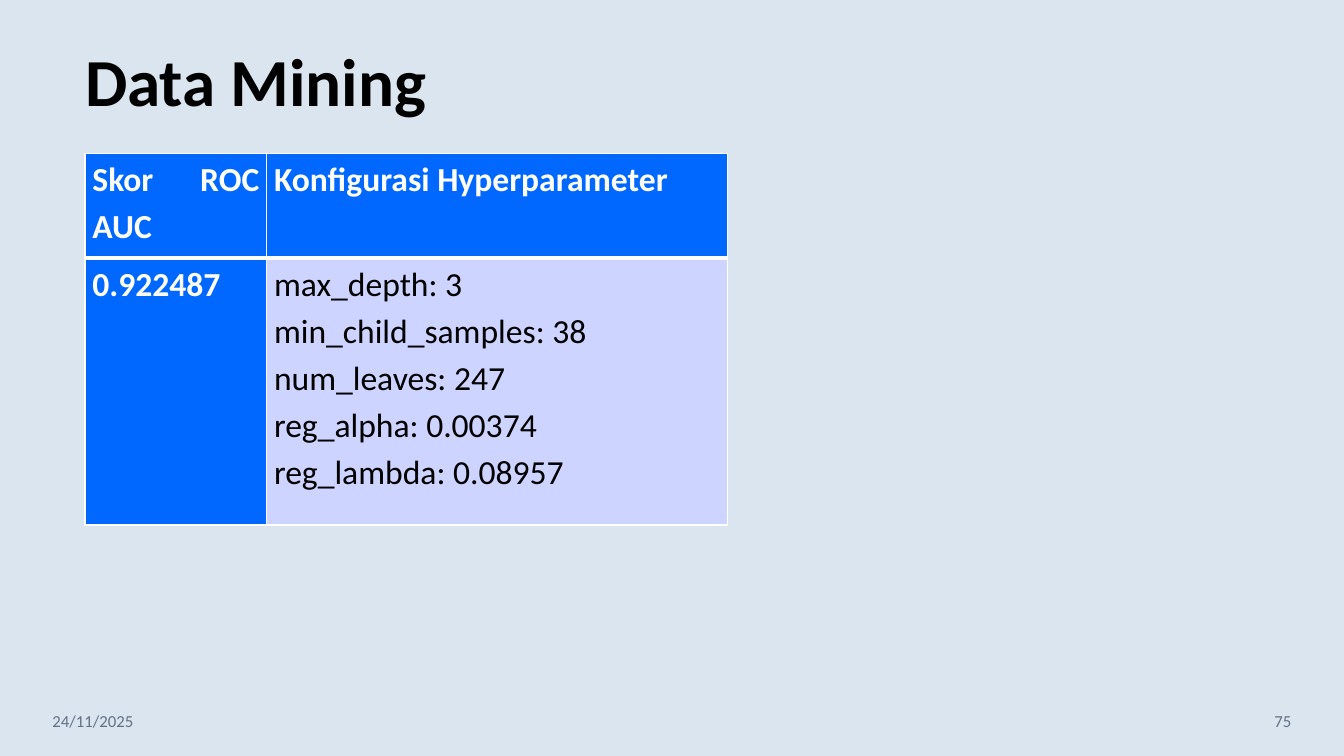
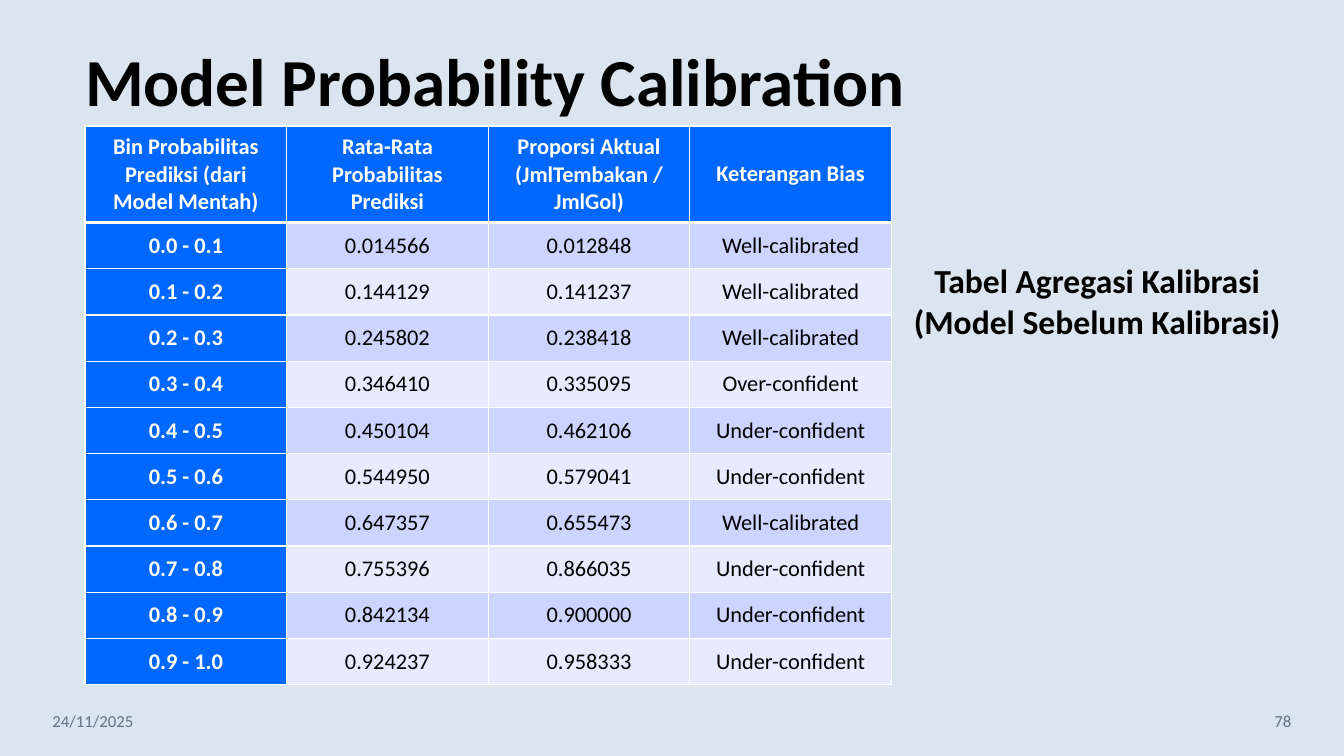
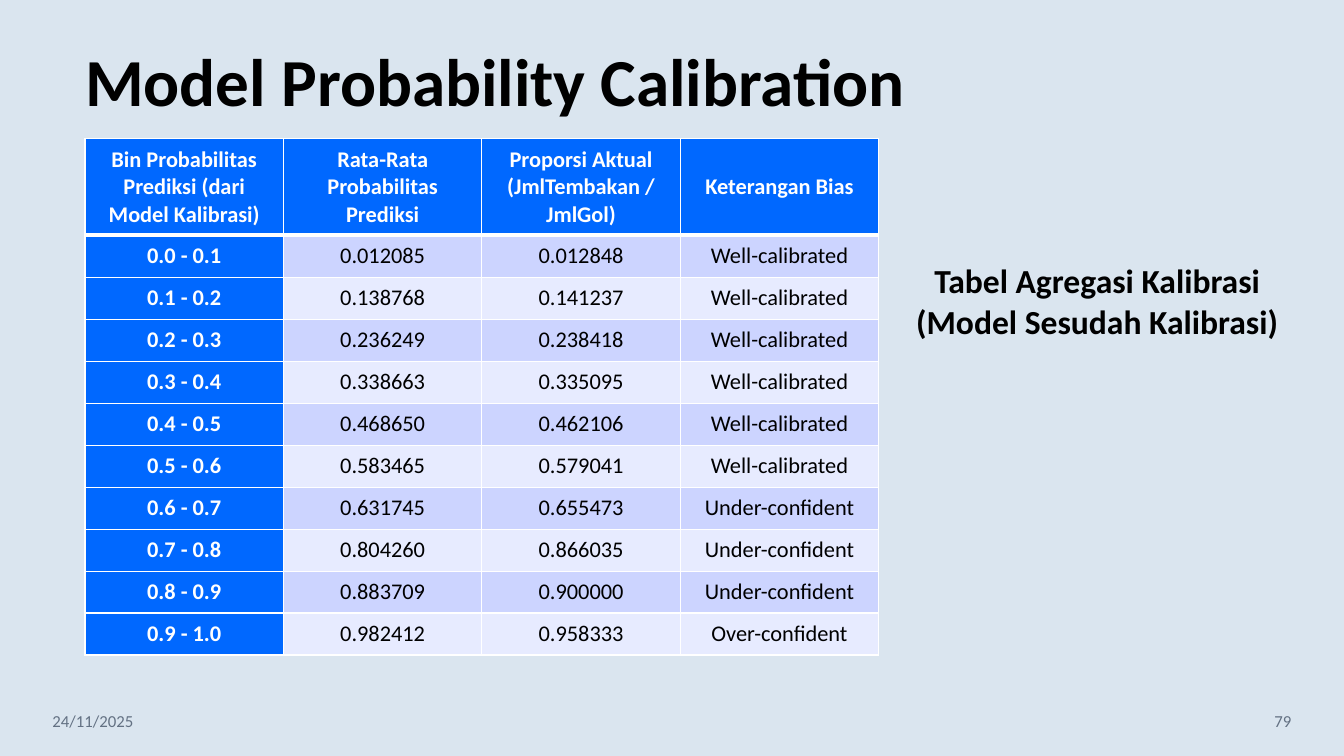
from lxml.etree import SubElement
from pptx import Presentation
from pptx.dml.color import RGBColor
from pptx.enum.text import MSO_ANCHOR, MSO_AUTO_SIZE, PP_ALIGN
from pptx.oxml.ns import qn
from pptx.util import Emu, Pt

SCALE = 9525
FONT = "Calibri"
COLORS = {
    "page": "DAE5EF",
    "head": "0068FF",
    "odd": "CCD4FF",
    "even": "E7EBFF",
    "ink": "000000",
    "white": "FFFFFF",
    "gray": "637183",
}
LEFT = 81


def px(count):
    """Turn pixels into EMU."""
    return Emu(count * SCALE)


def tint(name):
    """Return a named colour."""
    return RGBColor.from_string(COLORS[name])


def write(host, text, size=16, bold=False, color="ink", align=PP_ALIGN.LEFT,
          anchor=MSO_ANCHOR.TOP, inset=(10, 5, 10, 5), lead=None, after=None):
    """Fill a text frame or table cell with formatted lines."""
    host.margin_left, host.margin_top, host.margin_right, host.margin_bottom = map(px, inset)
    host.vertical_anchor = anchor
    frame = getattr(host, "text_frame", host)
    frame.word_wrap = True
    for i, line in enumerate(text.split("\n")):
        para = frame.add_paragraph() if i else frame.paragraphs[0]
        para.alignment = align
        if lead:
            para.line_spacing = lead
        if after:
            para.space_after = Pt(after)
        run = para.add_run()
        run.text = line
        run.font.name = FONT
        run.font.size = Pt(size)
        run.font.bold = bold
        run.font.color.rgb = tint(color)


def edge(cell, **widths):
    """Draw the white borders of a cell, widths in points."""
    props = cell._tc.get_or_add_tcPr()
    for i, side in enumerate("LRTB"):
        line = SubElement(props, qn(f"a:ln{side}"), w=str(Pt(widths.get(side, 1))))
        fill = SubElement(line, qn("a:solidFill"))
        SubElement(fill, qn("a:srgbClr"), val=COLORS["white"])
        props.insert(i, line)


class Deck:
    """Holds the shared style and the current slide."""

    def __init__(self):
        """Start a deck with the shared page colour."""
        self.show = Presentation()
        self.show.slide_width, self.show.slide_height = px(1280), px(720)
        fill = self.show.slide_master.background.fill
        fill.solid()
        fill.fore_color.rgb = tint("page")

    def page(self, title, number):
        """Add a slide with its title, date and number."""
        self.slide = self.show.slides.add_slide(self.show.slide_layouts[6])
        self.text((LEFT, 36, 1121, 84), title, size=48, bold=True, lead=0.9,
                  anchor=MSO_ANCHOR.BOTTOM, inset=(0, 5, 10, 5))
        small = {"size": 12, "color": "gray", "anchor": MSO_ANCHOR.MIDDLE}
        self.text((40, 667, 288, 38), "24/11/2025", **small)
        self.text((952, 667, 288, 38), str(number), align=PP_ALIGN.RIGHT, **small)

    def text(self, area, text, grow=False, **style):
        """Add a text box."""
        frame = self.slide.shapes.add_textbox(*map(px, area)).text_frame
        write(frame, text, **style)
        if grow:
            frame.auto_size = MSO_AUTO_SIZE.SHAPE_TO_FIT_TEXT

    def label(self, text, height):
        """Add the caption at the right of a table."""
        self.text((849, 243, 392, height), text, grow=True, size=24, bold=True,
                  align=PP_ALIGN.CENTER)

    def table(self, top, cols, tall, rows, special=None, **style):
        """Add a table with a blue first row and first column."""
        area = (LEFT, top, sum(cols), sum(tall))
        grid = self.slide.shapes.add_table(len(rows), len(cols), *map(px, area)).table
        grid.first_row = grid.horz_banding = False
        for col, width in zip(grid.columns, cols):
            col.width = px(width)
        for r, row in enumerate(rows):
            grid.rows[r].height = px(tall[r])
            for c, text in enumerate(row):
                cell = grid.cell(r, c)
                head = r == 0 or c == 0
                form = {**style, **(special or {}).get((r, c), {})}
                write(cell, text, bold=head, color="white" if head else "ink", **form)
                cell.fill.solid()
                cell.fill.fore_color.rgb = tint("head" if head else "odd" if r % 2 else "even")
                edge(cell, T=3 if r == 1 else 1, B=1 if r else 3)

    def bins(self, top, width, height, model, means, biases):
        """Add a calibration table with ten probability bins."""
        rows = [(f"Bin Probabilitas Prediksi (dari Model {model})",
                 "Rata-Rata Probabilitas Prediksi",
                 "Proporsi Aktual (JmlTembakan / JmlGol)",
                 "Keterangan Bias")]
        for i, (mean, share, bias) in enumerate(zip(means, SHARES, biases)):
            rows.append((f"{i / 10:.1f} - {(i + 1) / 10:.1f}", f"{mean:.6f}",
                         f"{share:.6f}", BIAS[bias]))
        self.table(top, [width] * 4, [92] + [height] * 10, rows,
                   special={(0, 3): {"inset": (1, 1, 1, 1), "after": 8}},
                   align=PP_ALIGN.CENTER, anchor=MSO_ANCHOR.MIDDLE, inset=(7, 7, 7, 7))


BIAS = {"W": "Well-calibrated", "O": "Over-confident", "U": "Under-confident"}
SHARES = [0.012848, 0.141237, 0.238418, 0.335095, 0.462106,
          0.579041, 0.655473, 0.866035, 0.900000, 0.958333]
BEFORE = [0.014566, 0.144129, 0.245802, 0.346410, 0.450104,
          0.544950, 0.647357, 0.755396, 0.842134, 0.924237]
AFTER = [0.012085, 0.138768, 0.236249, 0.338663, 0.468650,
         0.583465, 0.631745, 0.804260, 0.883709, 0.982412]
SETUP = """max_depth: 3
min_child_samples: 38
num_leaves: 247
reg_alpha: 0.00374
reg_lambda: 0.08957"""


def main():
    """Build and save the three slides."""
    deck = Deck()

    deck.page("Data Mining", 75)
    deck.table(146, [173, 439], [100, 254],
               [("Skor ROC AUC", "Konfigurasi Hyperparameter"), ("0.922487", SETUP)],
               size=24, align=PP_ALIGN.JUSTIFY, lead=1.15, inset=(7, 0, 7, 0))

    deck.page("Model Probability Calibration", 78)
    deck.bins(120, 192, 44, "Mentah", BEFORE, "WWWOUUWUUU")
    deck.label("Tabel Agregasi Kalibrasi (Model Sebelum Kalibrasi)", 126)

    deck.page("Model Probability Calibration", 79)
    deck.label("Tabel Agregasi Kalibrasi (Model Sesudah Kalibrasi)", 87)
    deck.bins(132, 189, 40, "Kalibrasi", AFTER, "WWWWWWUUUO")

    deck.show.save("out.pptx")


if __name__ == "__main__":
    main()
